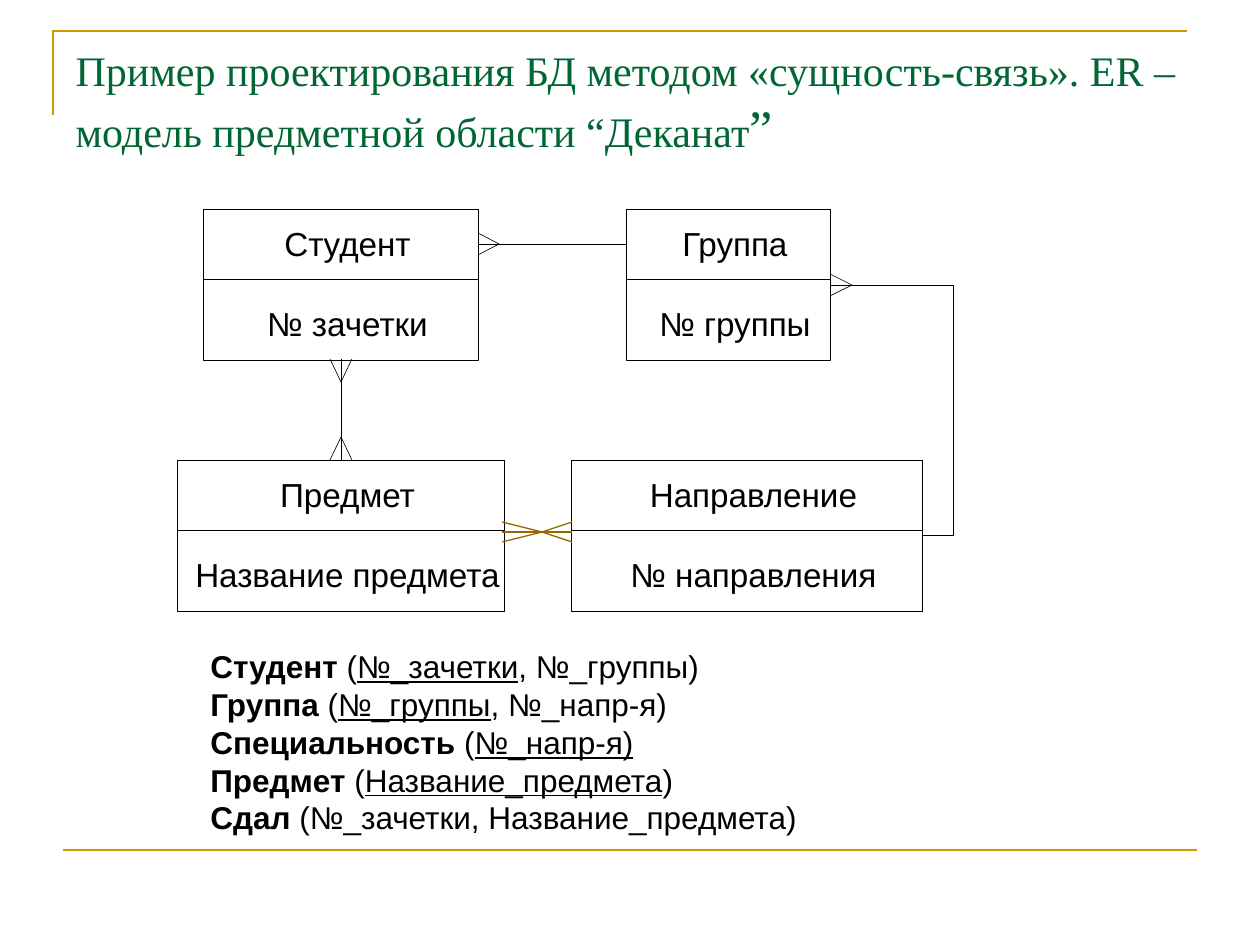
from lxml import etree
from pptx import Presentation
from pptx.dml.color import RGBColor
from pptx.enum.shapes import MSO_CONNECTOR, MSO_SHAPE
from pptx.enum.text import MSO_ANCHOR, MSO_AUTO_SIZE, PP_ALIGN
from pptx.oxml.ns import qn
from pptx.util import Emu, Pt

STRAIGHT, RECTANGLE = MSO_CONNECTOR.STRAIGHT, MSO_SHAPE.RECTANGLE
LEFT, CENTER = PP_ALIGN.LEFT, PP_ALIGN.CENTER
TOP, BOTTOM = MSO_ANCHOR.TOP, MSO_ANCHOR.BOTTOM
NO_FIT, FIT_SHAPE = MSO_AUTO_SIZE.NONE, MSO_AUTO_SIZE.SHAPE_TO_FIT_TEXT
SCALE = 914400 / 126
BLACK, WHITE, GOLD, BROWN, GREEN = "000000", "FFFFFF", "CC9900", "996600", "006633"
THIN = 0.38
NO_MARGINS = dict.fromkeys(["margin_left", "margin_top", "margin_right", "margin_bottom"], 0)


def px(*lengths):
    return [Emu(round(length * SCALE)) for length in lengths]


def color(hex_string):
    return RGBColor.from_string(hex_string)


def set_values(target, values):
    for name, value in values.items():
        setattr(target, name, value)


def set_line(shape, line_color, width):
    shape.line.color.rgb = color(line_color)
    shape.line.width = Pt(width)


def add_run(paragraph, text, size, font="Arial", text_color=BLACK, **values):
    run = paragraph.add_run()
    run.text = text
    set_values(run.font, {"name": font, "size": Pt(size), **values})
    run.font.color.rgb = color(text_color)


def add_line(slide, start, end, line_color=BLACK, width=THIN):
    connector = slide.shapes.add_connector(STRAIGHT, *px(*start, *end))
    set_line(connector, line_color, width)
    etree.SubElement(connector._element.spPr, qn("a:effectLst"))


def add_path(slide, points, line_color=BLACK, width=THIN):
    builder = slide.shapes.build_freeform(*points[0], scale=SCALE)
    builder.add_line_segments(points[1:], close=False)
    shape = builder.convert_to_shape()
    shape.fill.background()
    shape.shadow.inherit = False
    set_line(shape, line_color, width)


def add_label(slide, center_x, top, width, text):
    box = slide.shapes.add_textbox(*px(center_x - width / 2, top, width, 40))
    set_values(box.text_frame, {"word_wrap": False, "auto_size": FIT_SHAPE, **NO_MARGINS})
    paragraph = box.text_frame.paragraphs[0]
    paragraph.alignment = CENTER
    add_run(paragraph, text, 19)


def add_entity(slide, left, top, width, name, name_width, key, key_width):
    for height in (151, 70):
        shape = slide.shapes.add_shape(RECTANGLE, *px(left, top, width, height))
        shape.fill.solid()
        shape.fill.fore_color.rgb = color(WHITE)
        shape.shadow.inherit = False
        set_line(shape, BLACK, THIN)
    center_x = left + width / 2 + 7
    add_label(slide, center_x, top + 14, name_width, name)
    add_label(slide, center_x, top + 94, key_width, key)


def add_crow_foot(slide, tip, edge, spread=11, line_color=BLACK, width=THIN):
    horizontal = tip[1] == edge[1]
    for offset in (-spread, 0, spread):
        end = (edge[0], edge[1] + offset) if horizontal else (edge[0] + offset, edge[1])
        add_line(slide, tip, end, line_color, width)


def add_title(slide, left, top, width, height):
    title = slide.shapes.title
    set_values(title, dict(zip(("left", "top", "width", "height"), px(left, top, width, height))))
    set_values(title.text_frame, {"word_wrap": True, "auto_size": NO_FIT, "vertical_anchor": BOTTOM})
    paragraph = title.text_frame.paragraphs[0]
    paragraph.alignment = LEFT
    text = "Пример проектирования БД методом «сущность-связь». ER – модель предметной области “Деканат"
    for part, size in ((text, 24), ("”", 30)):
        add_run(paragraph, part, size, "Times New Roman", GREEN)


def add_frame(slide, left, top, width):
    add_path(slide, [(left, top + 84), (left, top), (left + width, top)], GOLD, 1.5)
    bottom = top + 819
    add_line(slide, (left + 10, bottom), (left + 10 + width, bottom), GOLD, 1.5)


def add_diagram(slide, left, top):
    def at(x, y):
        return left + x, top + y

    entities = [
        (26, 0, 275, "Студент", 135, "№ зачетки", 171),
        (449, 0, 204, "Группа", 115, "№ группы", 163),
        (0, 251, 327, "Предмет", 145, "Название предмета", 317),
        (394, 251, 351, "Направление", 217, "№ направления", 255),
    ]
    for x, y, *details in entities:
        add_entity(slide, *at(x, y), *details)

    add_line(slide, at(322, 35), at(449, 35))
    add_line(slide, at(164, 173), at(164, 228))
    add_path(slide, [at(675, 76), at(776, 76), at(776, 326), at(745, 326)])
    for tip, edge in (
        ((322, 35), (301, 35)),
        ((164, 173), (164, 150)),
        ((164, 228), (164, 251)),
        ((675, 76), (653, 76)),
    ):
        add_crow_foot(slide, at(*tip), at(*edge))
    for x in (325, 395):
        add_crow_foot(slide, at(365, 323), at(x, 323), 10, BROWN, 0.75)


def add_relations(slide, left, top, width, height):
    relations = [
        ("Студент", " (", "№_зачетки", ", №_группы)"),
        ("Группа", " (", "№_группы", ", №_напр-я)"),
        ("Специальность", " (", "№_напр-я)", ""),
        ("Предмет", " (", "Название_предмета", ")"),
        ("Сдал", " (№_зачетки, Название_предмета)", "", ""),
    ]
    styles = [{"bold": True}, {}, {"underline": True}, {}]
    box = slide.shapes.add_textbox(*px(left, top, width, height))
    frame = box.text_frame
    set_values(frame, {"word_wrap": True, "auto_size": FIT_SHAPE, "vertical_anchor": TOP})
    for index, relation in enumerate(relations):
        paragraph = frame.add_paragraph() if index else frame.paragraphs[0]
        for text, style in zip(relation, styles):
            if text:
                add_run(paragraph, text, 18, **style)


presentation = Presentation()
set_values(presentation, dict(zip(("slide_width", "slide_height"), px(1260, 945))))
slide = presentation.slides.add_slide(presentation.slide_layouts[5])
add_frame(slide, 53, 31, 1134)
add_title(slide, 63, 37, 1163, 127)
add_diagram(slide, 177, 209)
add_relations(slide, 198, 641, 769, 202)
presentation.save("out.pptx")
